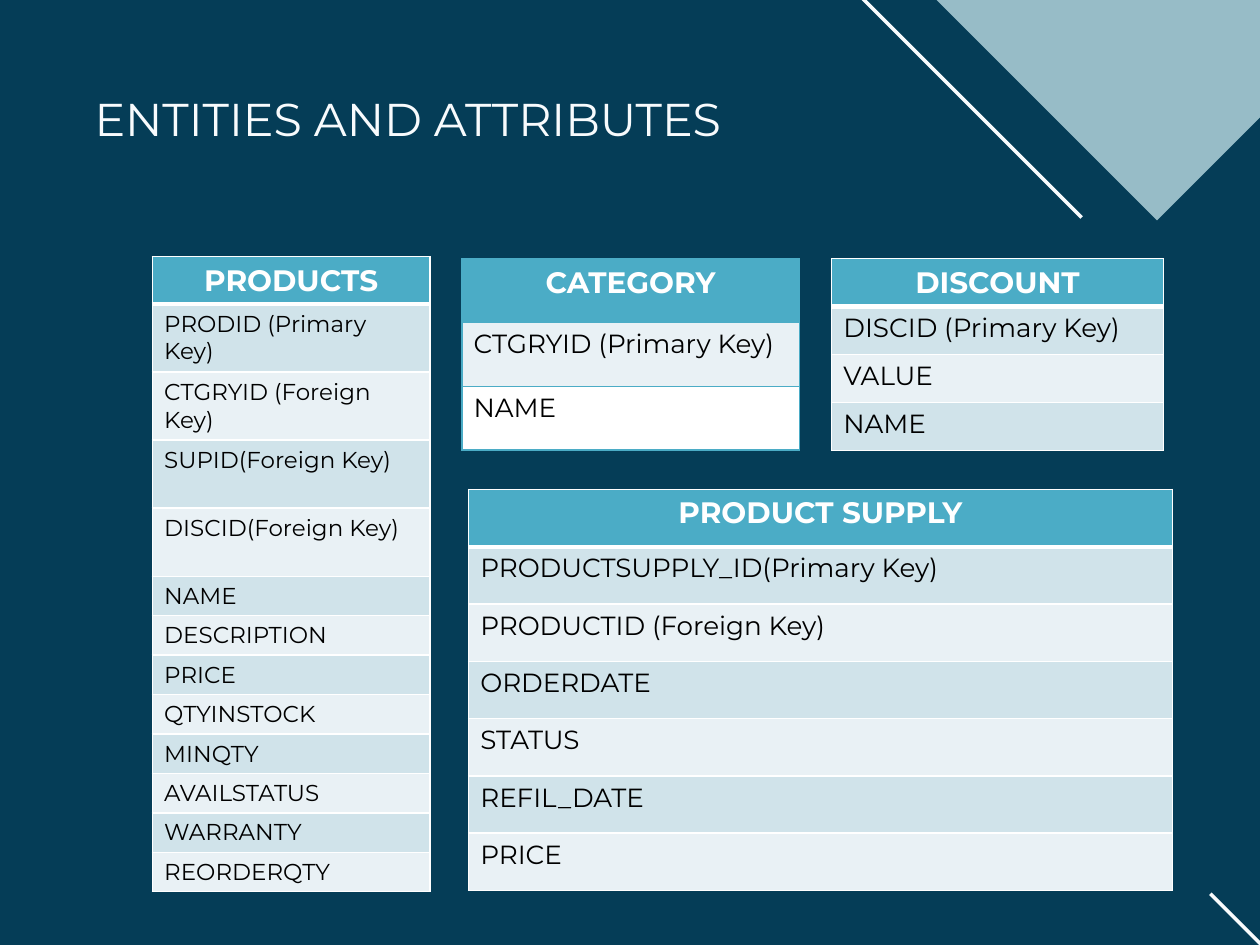
from lxml.etree import SubElement
from pptx import Presentation
from pptx.dml.color import RGBColor
from pptx.enum.shapes import MSO_SHAPE as Shape
from pptx.enum.text import MSO_ANCHOR as Anchor, MSO_AUTO_SIZE as AutoSize, PP_ALIGN as Align
from pptx.oxml.ns import qn
from pptx.util import Pt

FONT = "Montserrat"
NAVY, MIST, SNOW = "053D57", "97BCC7", "F8FBFD"
TEAL, WHITE, BLACK = "4BACC6", "FFFFFF", "000000"
BLUE_BANDS = ("D0E3EA", "E9F1F5")
PALE_BANDS = ("E9F1F5", WHITE)
HEADER_FORMAT = {"name": FONT, "size": Pt(18), "bold": True}
THIN, THICK = 1, 3

# left, top, width, height
DECORATIONS = [
    ((565.2, -203.8, 280.1, 280.1), MIST),
    ((568.1, -85, 2.2, 254.9), SNOW),
    ((789.8, 522.7, 2.2, 150.5), SNOW),
]

ENTITIES = [
    {
        "name": "PRODUCTS",
        "attributes": [
            "PRODID (Primary Key)", "CTGRYID (Foreign Key)", "SUPID(Foreign Key)",
            "DISCID(Foreign Key)", "NAME", "DESCRIPTION", "PRICE", "QTYINSTOCK",
            "MINQTY", "AVAILSTATUS", "WARRANTY", "REORDERQTY",
        ],
        "place": (92.9, 156.4, 169.2),
        "heights": [27.4] + [41.5] * 4 + [24] * 8,
        "size": 14,
    },
    {
        "name": "CATEGORY",
        "attributes": ["CTGRYID (Primary Key)", "NAME"],
        "place": (281.5, 157.7, 205.7),
        "heights": [38.9] * 3,
        "bands": PALE_BANDS,
        "border": TEAL,
        "rule": THIN,
    },
    {
        "name": "DISCOUNT",
        "attributes": ["DISCID (Primary Key)", "VALUE", "NAME"],
        "place": (506.9, 157.7, 202.3),
        "heights": [29.2] * 4,
    },
    {
        "name": "PRODUCT SUPPLY",
        "attributes": [
            "PRODUCTSUPPLY_ID(Primary Key)", "PRODUCTID (Foreign Key)", "ORDERDATE",
            "STATUS", "REFIL_DATE", "PRICE",
        ],
        "place": (285.6, 298.3, 429.1),
        "heights": [34.95] * 7,
    },
]


def color(value):
    return RGBColor.from_string(value)


def set_attributes(target, values):
    for name, value in values.items():
        setattr(target, name, value)


def format_text(paragraph, text, font_format, fill):
    paragraph.text = text
    set_attributes(paragraph.font, font_format)
    paragraph.font.color.rgb = color(fill)


def set_title(slide, text):
    title = slide.shapes.title
    set_attributes(title, {"left": Pt(57.6), "top": Pt(55.4), "width": Pt(476.6), "height": Pt(31)})
    frame = title.text_frame
    set_attributes(frame, {
        "margin_left": 0, "margin_top": 0, "margin_right": 0, "margin_bottom": 0,
        "word_wrap": True, "vertical_anchor": Anchor.TOP,
        "auto_size": AutoSize.SHAPE_TO_FIT_TEXT,
    })
    paragraph = frame.paragraphs[0]
    format_text(paragraph, text, {"name": FONT, "size": Pt(28)}, SNOW)
    set_attributes(paragraph, {"alignment": Align.LEFT, "line_spacing": Pt(33.6)})


def add_decoration(slide, place, fill):
    shape = slide.shapes.add_shape(Shape.RECTANGLE, *map(Pt, place))
    shape.rotation = 315
    shape.shadow.inherit = False
    shape.fill.solid()
    shape.fill.fore_color.rgb = color(fill)
    shape.line.fill.background()


def set_borders(cell, fill, top, bottom):
    """Draw all four sides; must run before the cell is filled."""
    properties = cell._tc.get_or_add_tcPr()
    for side, width in (("L", THIN), ("R", THIN), ("T", top), ("B", bottom)):
        line = SubElement(properties, qn(f"a:ln{side}"), w=str(Pt(width)))
        solid = SubElement(line, qn("a:solidFill"))
        SubElement(solid, qn("a:srgbClr"), val=fill)


def add_entity(slide, name, attributes, place, heights, size=16,
               bands=BLUE_BANDS, border=WHITE, rule=THICK):
    """Add a one-column table; rule is the line width under its header."""
    left, top, width = place
    frame = slide.shapes.add_table(
        len(heights), 1, Pt(left), Pt(top), Pt(width), Pt(sum(heights)))
    table = frame.table
    set_attributes(table, {"first_row": False, "horz_banding": False})
    for index, (text, height) in enumerate(zip([name] + attributes, heights)):
        table.rows[index].height = Pt(height)
        cell = table.cell(index, 0)
        is_header = index == 0
        set_borders(cell, border, rule if index == 1 else THIN, rule if is_header else THIN)
        cell.fill.solid()
        cell.fill.fore_color.rgb = color(TEAL if is_header else bands[(index - 1) % 2])
        paragraph = cell.text_frame.paragraphs[0]
        if is_header:
            format_text(paragraph, text, HEADER_FORMAT, WHITE)
            paragraph.alignment = Align.CENTER
        else:
            format_text(paragraph, text, {"name": FONT, "size": Pt(size), "bold": False}, BLACK)


def main():
    presentation = Presentation()
    set_attributes(presentation, {"slide_width": Pt(768), "slide_height": Pt(576)})
    slide = presentation.slides.add_slide(presentation.slide_layouts[5])
    slide.background.fill.solid()
    slide.background.fill.fore_color.rgb = color(NAVY)
    set_title(slide, "ENTITIES AND ATTRIBUTES")
    for place, fill in DECORATIONS:
        add_decoration(slide, place, fill)
    for entity in ENTITIES:
        add_entity(slide, **entity)
    presentation.save("out.pptx")


if __name__ == "__main__":
    main()
